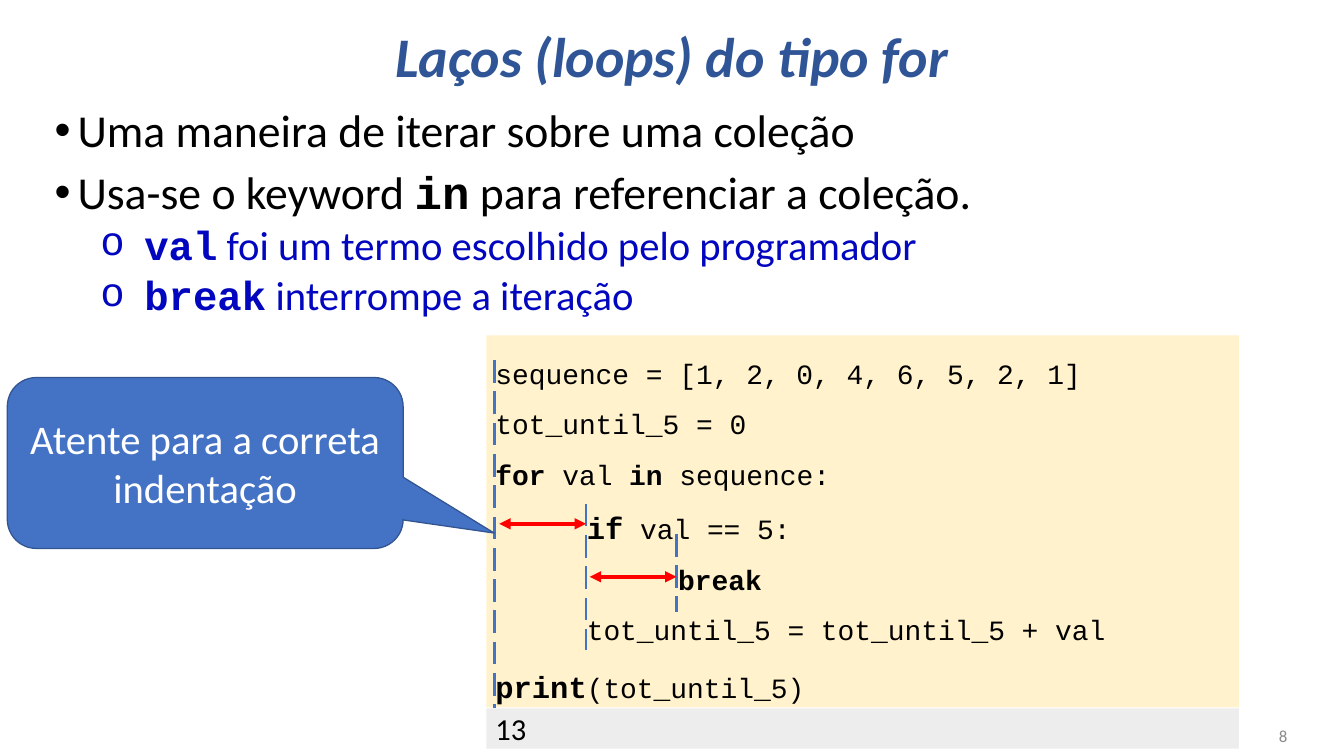
"""Builds the slide about for loops in Python."""
from lxml.etree import SubElement
from pptx import Presentation
from pptx.dml.color import RGBColor
from pptx.enum.dml import MSO_LINE
from pptx.enum.shapes import MSO_CONNECTOR, MSO_SHAPE
from pptx.enum.text import MSO_ANCHOR, PP_ALIGN
from pptx.oxml.ns import qn
from pptx.util import Pt

PX = 9144
SANS, MONO = "Calibri", "Courier New"
COLORS = {
    "title": "2F5597", "text": "000000", "sub": "0206BE", "code": "FFF2CC",
    "output": "EDEDED", "number": "8B8B8B", "arrow": "FF0000",
    "guide": "4472C4", "callout": "4472C4", "edge": "325491", "white": "FFFFFF",
}

TITLE = "Laços (loops) do tipo for"
BULLETS = [
    (0, [("Uma maneira de iterar sobre uma coleção", False)]),
    (0, [("Usa-se o keyword ", False), ("in", True),
         (" para referenciar a coleção.", False)]),
    (1, [("val", True), (" foi um termo escolhido pelo programador", False)]),
    (1, [("break", True), (" interrompe a iteração", False)]),
]
LEVELS = [
    {"size": 36, "color": "text", "before": 10, "margin": 25, "hang": 25,
     "mark": "•", "mark_font": "Arial"},
    {"size": 32, "color": "sub", "before": 5, "margin": 98, "hang": 48,
     "mark": "o", "mark_font": MONO},
]
CODE = [
    [("sequence = [1, 2, 0, 4, 6, 5, 2, 1]", 22, False)],
    [("tot_until_5 = 0", 22, False)],
    [("for", 22, True), (" val ", 22, False), ("in", 22, True),
     (" sequence:", 22, False)],
    [("\t", 22, False), ("if", 24, True), (" val == 5:", 22, False)],
    [("\t\t", 22, False), ("break", 22, True)],
    [("\ttot_until_5 = tot_until_5 + val", 22, False)],
    [("print", 24, True), ("(tot_until_5)", 22, False), (" ", 26, False)],
]
TAB_STOPS = (100, 200)
OUTPUT = "13"
NUMBER = "8"
CALLOUT = "Atente para a correta indentação"
GUIDES = [(541, 394, 774), (641, 551, 711), (740, 584, 669)]
ARROWS = [(546, 641, 573), (645, 740, 631)]


def rgb(name):
    return RGBColor.from_string(COLORS[name])


def style(span, size, color, font=SANS, bold=False, italic=False):
    span.font.name, span.font.size = font, Pt(size)
    span.font.bold, span.font.italic = bold, italic
    span.font.color.rgb = rgb(color)


def add_span(para, text, *look, **more):
    span = para.add_run()
    span.text = text
    style(span, *look, **more)


def paragraphs(frame, count):
    return [frame.paragraphs[0]] + [frame.add_paragraph() for _ in range(count - 1)]


def add_text(page, place, anchor=MSO_ANCHOR.TOP):
    box = page.shapes.add_textbox(*[v * PX for v in place])
    box.text_frame.word_wrap = True
    box.text_frame.vertical_anchor = anchor
    return box.text_frame


def add_panel(page, kind, place, fill, anchor, edge=None):
    panel = page.shapes.add_shape(kind, *[v * PX for v in place])
    panel.shadow.inherit = False
    panel.fill.solid()
    panel.fill.fore_color.rgb = rgb(fill)
    if edge:
        panel.line.color.rgb = rgb(edge)
        panel.line.width = Pt(1)
    else:
        panel.line.fill.background()
    panel.text_frame.vertical_anchor = anchor
    return panel


def write(frame, text, align, *look, **more):
    frame.text = text
    para = frame.paragraphs[0]
    para.alignment = align
    style(para.runs[0], *look, **more)
    return para


def add_bullet(para, level):
    para.line_spacing = 0.9
    para.space_before = Pt(level["before"])
    props = para._p.get_or_add_pPr()
    props.set("marL", str(level["margin"] * PX))
    props.set("indent", str(-level["hang"] * PX))
    SubElement(props, qn("a:buFont")).set("typeface", level["mark_font"])
    SubElement(props, qn("a:buChar")).set("char", level["mark"])


def add_tabs(para):
    stops = SubElement(para._p.get_or_add_pPr(), qn("a:tabLst"))
    for position in TAB_STOPS:
        stop = SubElement(stops, qn("a:tab"))
        stop.set("pos", str(position * PX))
        stop.set("algn", "l")


def add_line(page, ends, color, width):
    line = page.shapes.add_connector(MSO_CONNECTOR.STRAIGHT, *[v * PX for v in ends])
    line.line.color.rgb = rgb(color)
    line.line.width = Pt(width)
    SubElement(line._element.spPr, qn("a:effectLst"))
    return line


def main():
    deck = Presentation()
    deck.slide_width, deck.slide_height = 1470 * PX, 827 * PX
    page = deck.slides.add_slide(deck.slide_layouts[6])

    title = add_text(page, (101, 2, 1268, 126), MSO_ANCHOR.MIDDLE)
    write(title, TITLE, PP_ALIGN.CENTER, 44, "title",
          bold=True, italic=True).line_spacing = 0.9

    body = add_text(page, (50, 113, 1353, 699))
    for para, (depth, spans) in zip(paragraphs(body, len(BULLETS)), BULLETS):
        level = LEVELS[depth]
        para.level = depth
        add_bullet(para, level)
        for text, keyword in spans:
            add_span(para, text, level["size"], level["color"],
                     MONO if keyword else SANS, bold=keyword)

    code = add_panel(page, MSO_SHAPE.RECTANGLE, (532, 367, 823, 407), "code",
                     MSO_ANCHOR.TOP).text_frame
    for para, spans in zip(paragraphs(code, len(CODE)), CODE):
        para.alignment = PP_ALIGN.LEFT
        para.line_spacing = 1.5
        add_tabs(para)
        for text, size, bold in spans:
            add_span(para, text, size, "text", MONO, bold=bold)

    output = add_panel(page, MSO_SHAPE.RECTANGLE, (532, 775, 823, 44), "output",
                       MSO_ANCHOR.MIDDLE)
    write(output.text_frame, OUTPUT, PP_ALIGN.LEFT, 24, "text")
    number = add_text(page, (1087, 783, 331, 44), MSO_ANCHOR.MIDDLE)
    write(number, NUMBER, PP_ALIGN.RIGHT, 13.3, "number")

    for x, top, bottom in GUIDES:
        guide = add_line(page, (x, top, x, bottom), "guide", 2.25)
        guide.line.dash_style = MSO_LINE.LONG_DASH
    for left, right, y in ARROWS:
        arrow = add_line(page, (left, y, right, y), "arrow", 3)
        for end in ("a:headEnd", "a:tailEnd"):
            SubElement(arrow.line._get_or_add_ln(), qn(end)).set("type", "triangle")

    callout = add_panel(page, MSO_SHAPE.ROUNDED_RECTANGULAR_CALLOUT,
                        (8, 413, 433, 187), "callout", MSO_ANCHOR.MIDDLE, "edge")
    for index, value in enumerate((0.73, 0.41, 0.17)):
        callout.adjustments[index] = value
    write(callout.text_frame, CALLOUT, PP_ALIGN.CENTER, 32, "white")

    deck.save("out.pptx")


if __name__ == "__main__":
    main()
